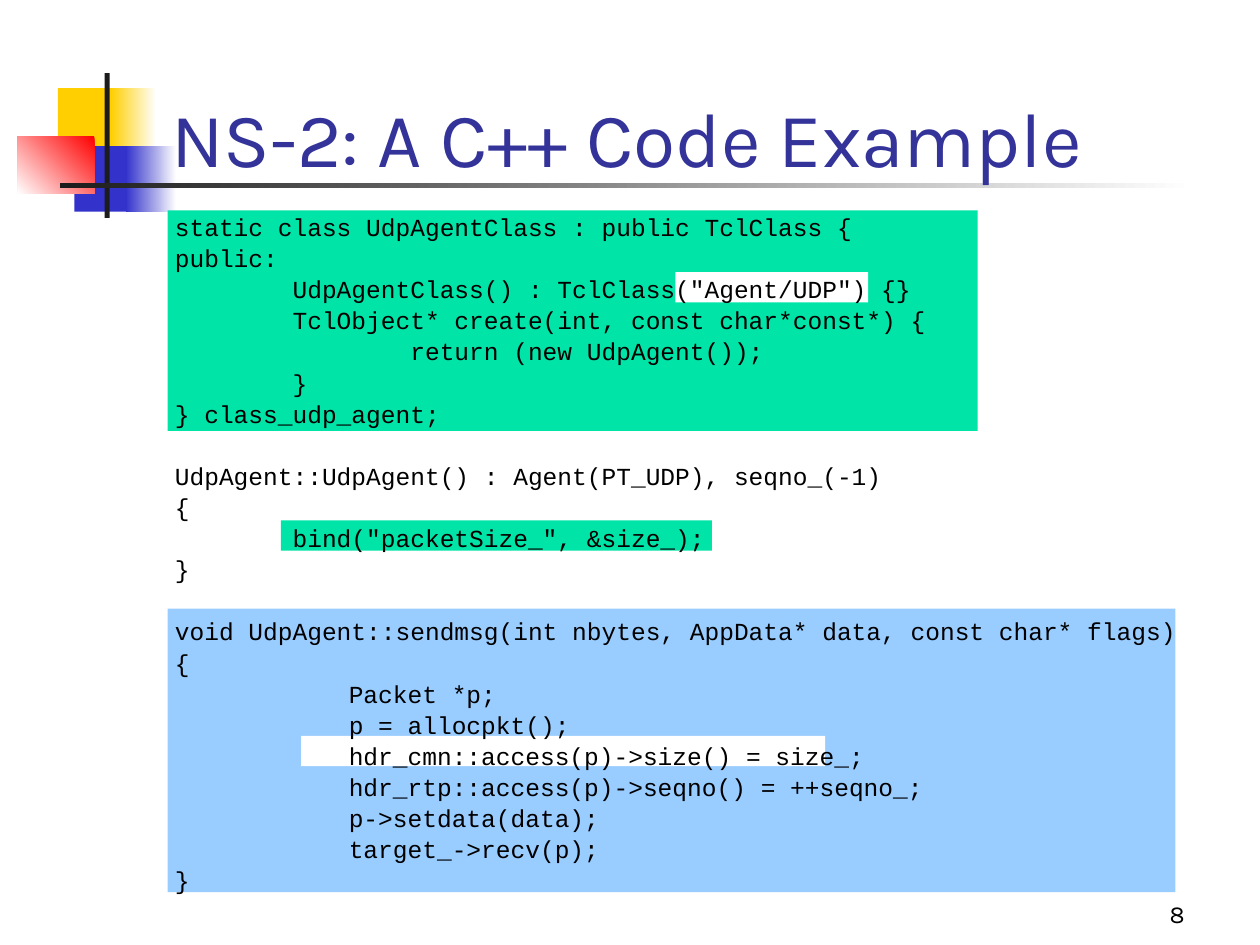
import pptx
import pptx.util
import pptx.dml.color
import pptx.enum.shapes
import pptx.enum.text

Inches = pptx.util.Inches
Pt = pptx.util.Pt
ALIGN = pptx.enum.text.PP_ALIGN
ANCHOR = pptx.enum.text.MSO_ANCHOR

HEX = {
    "white": "FFFFFF", "black": "000000", "dark": "1C1C1C", "title": "333399",
    "gold": "FFCF01", "blue": "3333CC", "red": "FF0000",
    "green": "00E4A8", "sky": "99CCFF",
}

CLASS = """static class UdpAgentClass : public TclClass {
public:
        UdpAgentClass() : TclClass("Agent/UDP") {}
        TclObject* create(int, const char*const*) {
                return (new UdpAgent());
        }
} class_udp_agent;"""

INIT = """UdpAgent::UdpAgent() : Agent(PT_UDP), seqno_(-1)
{
        bind("packetSize_", &size_);
}"""

# A leading tab marks a line that gets the deep margin.
SEND = """void UdpAgent::sendmsg(int nbytes, AppData* data, const char* flags)
{
\tPacket *p;
\tp = allocpkt();
\thdr_cmn::access(p)->size() = size_;
\thdr_rtp::access(p)->seqno() = ++seqno_;
\tp->setdata(data);
\ttarget_->recv(p);
}"""


def color(name):
    return pptx.dml.color.RGBColor.from_string(HEX[name])


def rect(slide, box, *names, angle=180):
    """Draw a borderless block: one colour is solid, two make a gradient."""
    kind = pptx.enum.shapes.MSO_SHAPE.RECTANGLE
    shape = slide.shapes.add_shape(kind, *map(Inches, box))
    shape.shadow.inherit = False
    shape.line.fill.background()
    if len(names) == 1:
        shape.fill.solid()
        shape.fill.fore_color.rgb = color(names[0])
        return
    shape.fill.gradient()
    shape.fill.gradient_angle = angle
    for stop, name in zip(shape.fill.gradient_stops, names):
        stop.color.rgb = color(name)


def style(para, font, layout):
    for key, value in layout.items():
        setattr(para, key, value)
    for key, value in font.items():
        if key == "color":
            para.font.color.rgb = color(value)
        else:
            setattr(para.font, key, value)


def frame(slide, box, anchor):
    text = slide.shapes.add_textbox(*map(Inches, box)).text_frame
    text.word_wrap = True
    text.vertical_anchor = anchor
    return text


def label(slide, box, words, font, align):
    text = frame(slide, box, ANCHOR.BOTTOM)
    text.text = words
    style(text.paragraphs[0], font, {"alignment": align})


def motif(slide, left, top):
    """Place the overlapping squares and the two crossing bars."""
    parts = [
        ((0.32, 0.12, 0.48, 0.52), ("gold",), 180),
        ((0.74, 0.12, 0.36, 0.52), ("white", "gold"), 180),
        ((0.45, 0.58, 0.46, 0.52), ("blue",), 180),
        ((0.86, 0.58, 0.4, 0.52), ("white", "blue"), 180),
        ((0, 0.5, 0.61, 0.46), ("red", "white"), 225),
        ((0.69, 0, 0.04, 1.15), ("dark",), 180),
        ((0.34, 0.87, 9, 0.04), ("white", "dark"), 180),
    ]
    for (x, y, w, h), names, angle in parts:
        rect(slide, (left + x, top + y, w, h), *names, angle=angle)


def code(slide, left, top):
    """Place the marked bands and the three code blocks over them."""
    bands = [
        ((0.04, 3.16, 8, 2.25), "sky"),
        ((0.04, 0, 6.43, 1.75), "green"),
        ((0.94, 2.46, 3.42, 0.24), "green"),
        ((4.07, 0.49, 1.53, 0.24), "white"),
        ((1.1, 4.17, 4.16, 0.24), "white"),
    ]
    for (x, y, w, h), name in bands:
        rect(slide, (left + x, top + y, w, h), name)

    text = frame(slide, (left, top, 8.5, 5.5), ANCHOR.TOP)
    font = {"name": "Courier New", "size": Pt(14), "color": "black"}
    para = None
    for block in (CLASS, INIT, SEND):
        for row, line in enumerate(block.split("\n")):
            first = para is None
            para = text.paragraphs[0] if first else text.add_paragraph()
            para.text = line.lstrip("\t")
            deep = line.startswith("\t")
            props = para._p.get_or_add_pPr()
            props.set("marL", str(Inches(1.38 if deep else 0.38)))
            props.set("indent", str(Inches(0 if deep else -0.38)))
            gap = 0 if first else 3.5 if row else 21.25
            style(para, font, {"line_spacing": 0.85, "space_before": Pt(gap)})


def main():
    deck = pptx.Presentation()
    deck.slide_width, deck.slide_height = Inches(10), Inches(7.5)
    slide = deck.slides.add_slide(deck.slide_layouts[6])
    motif(slide, 0.14, 0.58)
    label(slide, (1.26, 0.25, 8.52, 1.25), "NS-2: A C++ Code Example",
          {"name": "Karla", "size": Pt(44), "color": "title"}, ALIGN.LEFT)
    code(slide, 1.29, 1.67)
    label(slide, (7.42, 6.92, 2.08, 0.5), "8",
          {"name": "Karla", "size": Pt(14), "color": "black"}, ALIGN.RIGHT)
    deck.save("out.pptx")


if __name__ == "__main__":
    main()
